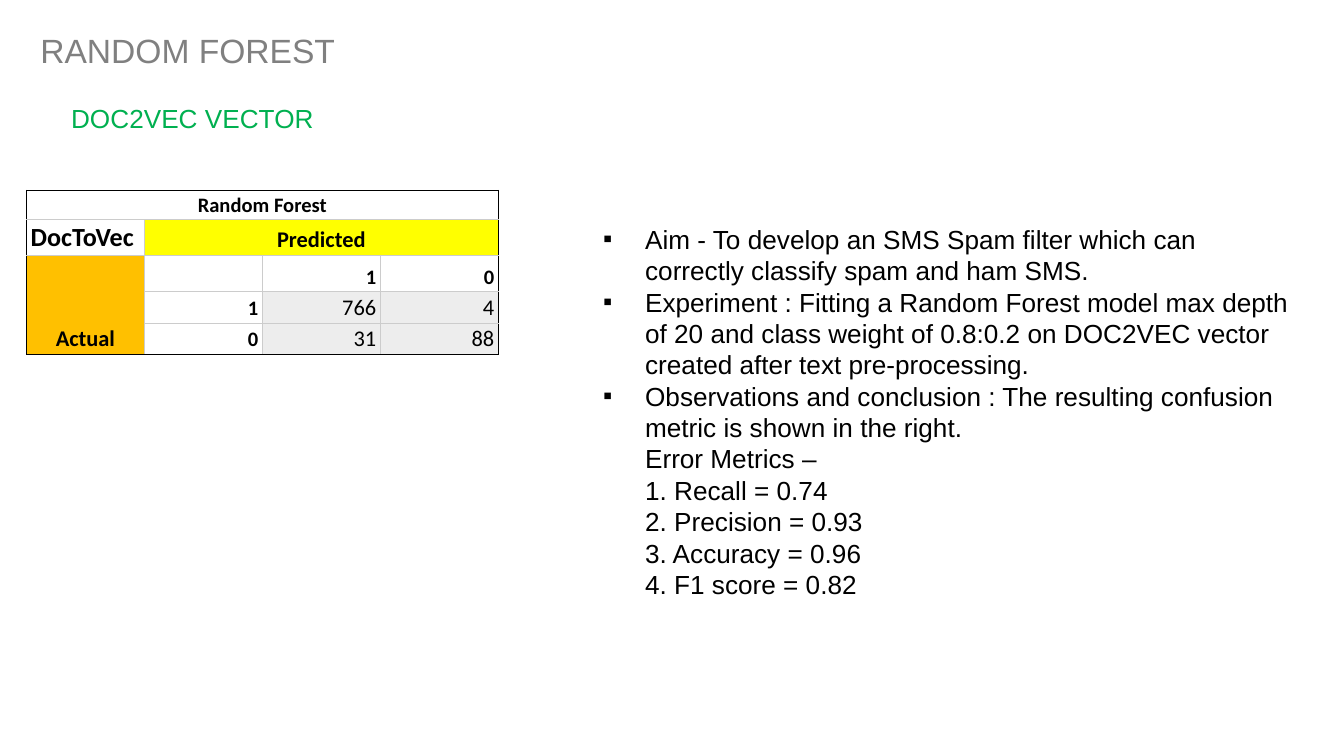
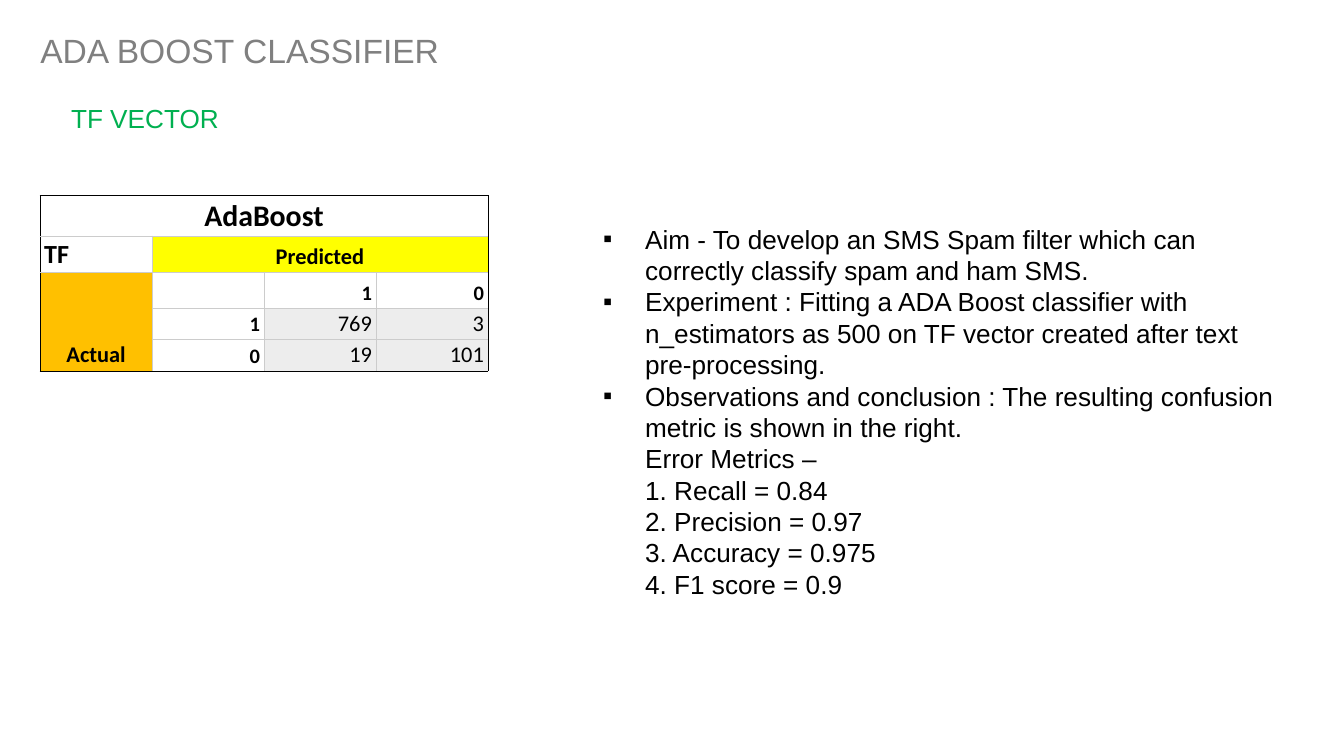
from dataclasses import dataclass

from lxml import etree
from pptx import Presentation
from pptx import util as u
from pptx.dml import color
from pptx.enum import text
from pptx.oxml import ns

Pt = u.Pt
ALIGN = text.PP_ALIGN


@dataclass(frozen=True)
class Theme:
    ink: str = "000000"
    title: str = "808080"
    subtitle: str = "00B050"
    grid: str = "CCCCCC"
    predicted: str = "FFFF00"
    actual: str = "FFC000"
    counts: str = "EDEDED"
    font: str = "Arial"
    table_font: str = "Calibri"
    title_size: float = 18
    body_size: float = 14
    label_size: float = 12
    class_size: float = 11
    line_height: float = 1.2
    indent: float = 22.5
    border: float = 0.6


THEME = Theme()


def add_text(paragraph, content, size, ink=THEME.ink, font=THEME.font, bold=False):
    run = paragraph.add_run()
    run.text = content
    run.font.name = font
    run.font.size = Pt(size)
    run.font.bold = bold
    run.font.color.rgb = color.RGBColor.from_string(ink)


def add_line(paragraph, content, size, ink=THEME.ink):
    """Fill a left-aligned paragraph with the deck's line height."""
    paragraph.alignment = ALIGN.LEFT
    paragraph.line_spacing = Pt(size * THEME.line_height)
    add_text(paragraph, content, size, ink)


def prepare_frame(shape, wrap=True):
    frame = shape.text_frame
    frame.word_wrap = wrap
    frame.auto_size = text.MSO_AUTO_SIZE.NONE
    frame.vertical_anchor = text.MSO_ANCHOR.TOP
    return frame


def add_heading(slide, title, subtitle, subtitle_width):
    shape = slide.shapes.title
    shape.left, shape.top, shape.width, shape.height = Pt(14.4), Pt(12.2), Pt(495), Pt(29)
    add_line(prepare_frame(shape).paragraphs[0], title, THEME.title_size, THEME.title)

    box = slide.shapes.add_textbox(Pt(31), Pt(51.2), Pt(subtitle_width), Pt(24.2))
    add_line(prepare_frame(box, wrap=False).paragraphs[0], subtitle,
             THEME.body_size, THEME.subtitle)


def indent(paragraph, bullet=False):
    properties = paragraph._p.get_or_add_pPr()
    properties.set("marL", str(Pt(THEME.indent)))
    properties.set("indent", str(-Pt(THEME.indent) if bullet else 0))
    if bullet:
        bullet_color = etree.SubElement(properties, ns.qn("a:buClr"))
        etree.SubElement(bullet_color, ns.qn("a:srgbClr"), val=THEME.ink)
        etree.SubElement(properties, ns.qn("a:buFont"), typeface=THEME.font)
        etree.SubElement(properties, ns.qn("a:buChar"), char="▪")


def add_findings(slide, experiment, scores, height):
    points = [
        "Aim - To develop an SMS Spam filter which can correctly classify spam and ham SMS.",
        f"Experiment : {experiment}",
        "Observations and conclusion : The resulting confusion metric is shown in the right.",
    ]
    names = ("Recall", "Precision", "Accuracy", "F1 score")
    metrics = ["Error Metrics –"] + [
        f"{number}. {name} = {score}"
        for number, (name, score) in enumerate(zip(names, scores), 1)]

    box = slide.shapes.add_textbox(Pt(316), Pt(116), Pt(383), Pt(height))
    frame = prepare_frame(box)
    for index, line in enumerate(points + metrics):
        paragraph = frame.add_paragraph() if index else frame.paragraphs[0]
        add_line(paragraph, line, THEME.body_size)
        indent(paragraph, bullet=index < len(points))


def add_borders(cell, row, column, last_row, last_column):
    """Draw the black outer frame and the grey inner grid around one cell."""
    outer_edges = {
        "lnL": column == 0,
        "lnR": column + cell.span_width - 1 == last_column,
        "lnT": row == 0,
        "lnB": row + cell.span_height - 1 == last_row,
    }
    properties = cell._tc.get_or_add_tcPr()
    for tag, outer in outer_edges.items():
        if cell.is_spanned and not outer:
            continue
        line = etree.SubElement(properties, ns.qn(f"a:{tag}"), w=str(Pt(THEME.border)))
        fill = etree.SubElement(line, ns.qn("a:solidFill"))
        etree.SubElement(fill, ns.qn("a:srgbClr"), val=THEME.ink if outer else THEME.grid)


def add_confusion_table(slide, left, top, column_width, model, model_size, vector, counts):
    row_sizes = (model_size, THEME.body_size, THEME.body_size,
                 THEME.label_size, THEME.label_size)
    row_heights = [Pt(size * 1.22 + 2.2) for size in row_sizes]
    frame = slide.shapes.add_table(5, 4, Pt(left), Pt(top),
                                   Pt(column_width * 4), sum(row_heights))
    table = frame.table
    table.first_row = table.horz_banding = False
    for column in table.columns:
        column.width = Pt(column_width)
    for row, height in zip(table.rows, row_heights):
        row.height = height
    for first, last in (((0, 0), (0, 3)), ((1, 1), (1, 3)), ((2, 0), (4, 0))):
        table.cell(*first).merge(table.cell(*last))

    # Each entry: text, size, bold, alignment, fill
    entries = {
        (0, 0): (model, model_size, True, ALIGN.CENTER, None),
        (1, 0): (vector, THEME.body_size, True, ALIGN.LEFT, None),
        (1, 1): ("Predicted", THEME.label_size, True, ALIGN.CENTER, THEME.predicted),
        (2, 0): ("Actual", THEME.label_size, True, ALIGN.CENTER, THEME.actual),
    }
    for index, label in enumerate("10"):
        class_label = (label, THEME.class_size, True, ALIGN.RIGHT, None)
        entries[2, 2 + index] = entries[3 + index, 1] = class_label
        for offset, count in enumerate(counts[index]):
            entries[3 + index, 2 + offset] = (
                str(count), THEME.label_size, False, ALIGN.RIGHT, THEME.counts)

    for row in range(5):
        for column in range(4):
            cell = table.cell(row, column)
            cell.margin_left = cell.margin_right = Pt(2.2)
            cell.margin_top = cell.margin_bottom = Pt(1.1)
            cell.vertical_anchor = text.MSO_ANCHOR.BOTTOM
            add_borders(cell, row, column, 4, 3)
            fill_cell(cell, entries.get((row, column)))


def fill_cell(cell, entry):
    paragraph = cell.text_frame.paragraphs[0]
    if entry is None:
        # Keeps an empty cell from stretching its row
        etree.SubElement(paragraph._p, ns.qn("a:endParaRPr"),
                         sz=str(int(THEME.class_size * 100)))
        cell.fill.background()
        return
    content, size, bold, alignment, fill = entry
    paragraph.alignment = alignment
    add_text(paragraph, content, size, font=THEME.table_font, bold=bold)
    if fill:
        cell.fill.solid()
        cell.fill.fore_color.rgb = color.RGBColor.from_string(fill)
    else:
        cell.fill.background()


def add_slide(presentation):
    return presentation.slides.add_slide(presentation.slide_layouts.get_by_name("Title Only"))


def main():
    presentation = Presentation()
    presentation.slide_width, presentation.slide_height = Pt(720), Pt(405)

    slide = add_slide(presentation)
    add_heading(slide, "RANDOM FOREST", "DOC2VEC VECTOR", 146)
    add_confusion_table(slide, 14.2, 102, 63.2, "Random Forest", 11, "DocToVec",
                        ((766, 4), (31, 88)))
    add_findings(
        slide,
        "Fitting a Random Forest model max depth of 20 and class weight of 0.8:0.2 "
        "on DOC2VEC vector created after text pre-processing.",
        ("0.74", "0.93", "0.96", "0.82"), 245)

    slide = add_slide(presentation)
    add_heading(slide, "ADA BOOST CLASSIFIER", "TF VECTOR", 94)
    add_confusion_table(slide, 21.5, 104.8, 60, "AdaBoost", 16, "TF",
                        ((769, 3), (19, 101)))
    add_findings(
        slide,
        "Fitting a ADA Boost classifier with n_estimators as 500 "
        "on TF vector created after text pre-processing.",
        ("0.84", "0.97", "0.975", "0.9"), 227.5)

    presentation.save("out.pptx")


if __name__ == "__main__":
    main()
